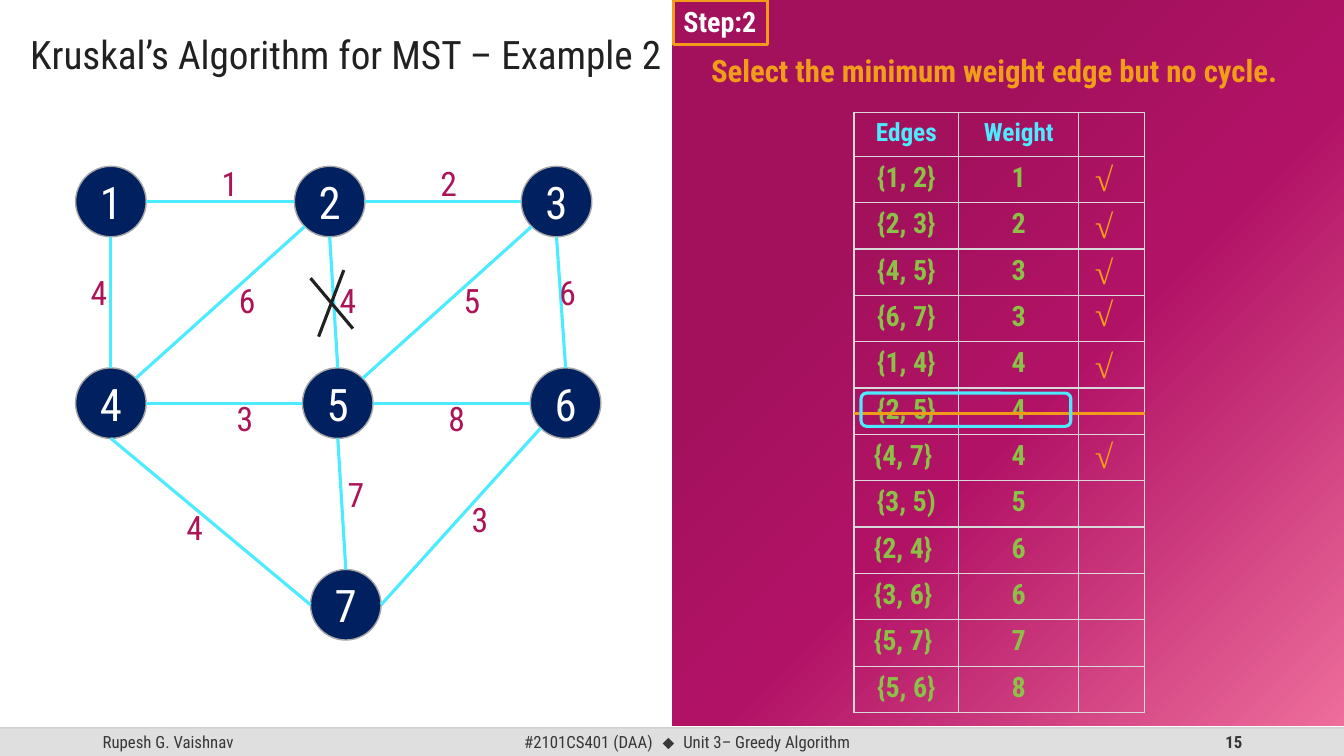
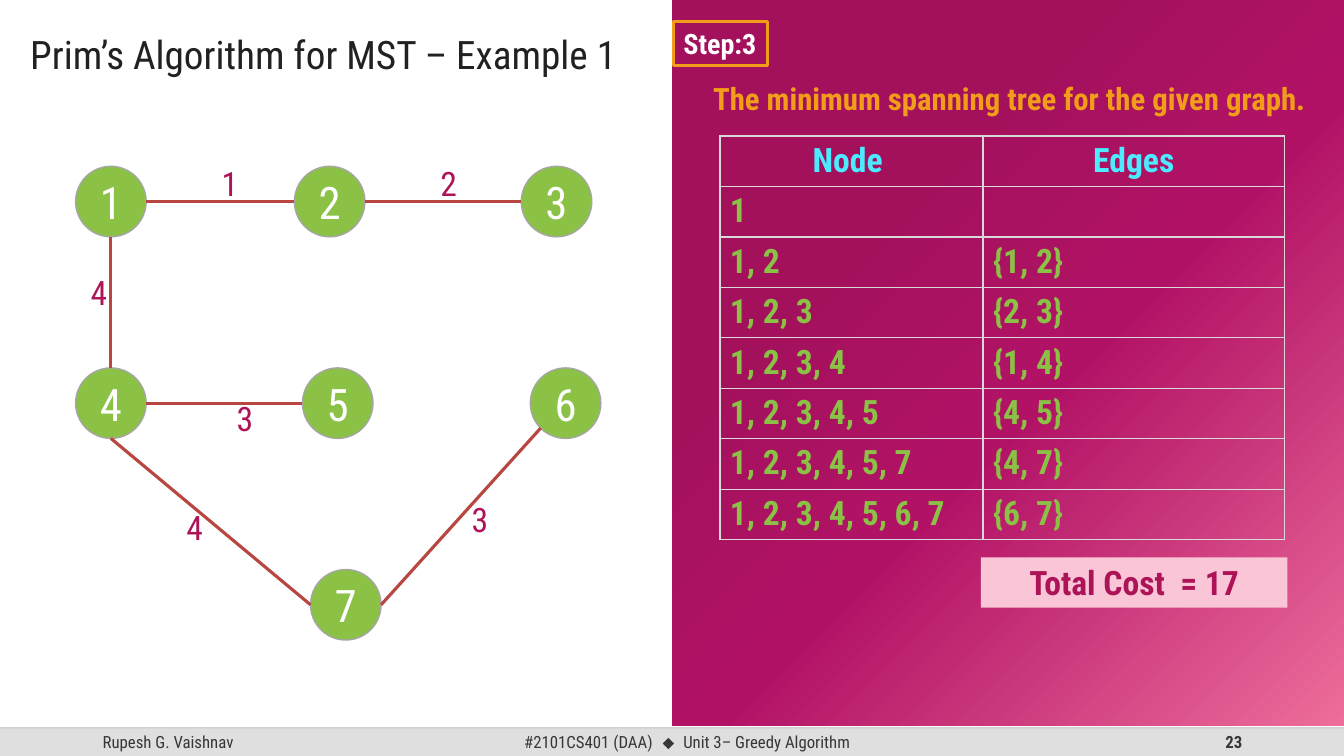
from dataclasses import dataclass
from math import cos, radians, sin
from typing import Optional, Sequence

from lxml.etree import SubElement
from pptx import Presentation
from pptx.dml.color import RGBColor
from pptx.enum.shapes import MSO_CONNECTOR, MSO_SHAPE
from pptx.enum.text import MSO_ANCHOR, MSO_AUTO_SIZE, PP_ALIGN
from pptx.oxml import parse_xml
from pptx.oxml.ns import nsdecls, qn
from pptx.util import Inches, Pt

FONT = "Roboto Condensed"
WHITE = RGBColor(0xFF, 0xFF, 0xFF)
INK = RGBColor(0x21, 0x21, 0x21)
FOOTER_INK = RGBColor(0x37, 0x37, 0x37)
FOOTER_FILL = RGBColor(0xDF, 0xDF, 0xDF)
FOOTER_RULE = RGBColor(0xBF, 0xBF, 0xBF)
NODE_OUTLINE = RGBColor(0xA6, 0xA6, 0xA6)
GRID = RGBColor(0xD9, 0xD9, 0xD9)
NAVY = RGBColor(0x00, 0x20, 0x60)
GREEN = RGBColor(0x8B, 0xC1, 0x45)
CYAN = RGBColor(0x4C, 0xEB, 0xFF)
RED = RGBColor(0xB8, 0x47, 0x42)
ORANGE = RGBColor(0xF1, 0x9D, 0x19)
CRIMSON = RGBColor(0xAD, 0x14, 0x57)
ROSE = RGBColor(0xF9, 0xC5, 0xD7)
PANEL_STOPS = ((30, "A3115D"), (55, "B21266"), (100, "ED6D9B"))

RADIUS = 0.35
FOOTER_TOP = 7.22

# Connection sites of an ellipse, counted anticlockwise from the top
TOP, LEFT, LOWER_LEFT, BOTTOM, RIGHT, UPPER_RIGHT = 0, 2, 3, 4, 6, 7

# Centres of the graph's nodes
NODES = {1: (1.1, 2), 2: (3.27, 2), 3: (5.52, 2),
         4: (1.1, 4), 5: (3.35, 4), 6: (5.61, 4), 7: (3.43, 6)}


@dataclass(frozen=True)
class Box:
    left: float
    top: float
    width: float
    height: float

    def emu(self) -> tuple:
        return tuple(Inches(v) for v in (self.left, self.top, self.width, self.height))


@dataclass(frozen=True)
class Edge:
    start: int
    start_site: int
    end: int
    end_site: int
    weight: int
    label_left: float
    label_top: float


@dataclass(frozen=True)
class TextStyle:
    size: float
    color: RGBColor
    bold: bool = False
    align: PP_ALIGN = PP_ALIGN.LEFT
    anchor: MSO_ANCHOR = MSO_ANCHOR.TOP
    font: str = FONT
    italic: bool = False


@dataclass(frozen=True)
class Grid:
    left: float
    top: float
    widths: Sequence[float]
    header_height: float
    row_height: float
    rows: Sequence[Sequence[str]]


EDGES = (
    Edge(1, RIGHT, 2, LEFT, 1, 2.1, 1.57),
    Edge(2, RIGHT, 3, LEFT, 2, 4.27, 1.57),
    Edge(4, RIGHT, 5, LEFT, 3, 2.25, 3.9),
    Edge(5, RIGHT, 6, LEFT, 8, 4.35, 3.9),
    Edge(1, BOTTOM, 4, TOP, 4, 0.8, 2.65),
    Edge(2, BOTTOM, 5, TOP, 4, 3.27, 2.73),
    Edge(3, BOTTOM, 6, TOP, 6, 5.45, 2.65),
    Edge(4, UPPER_RIGHT, 2, LOWER_LEFT, 6, 2.27, 2.73),
    Edge(5, UPPER_RIGHT, 3, LOWER_LEFT, 5, 4.5, 2.73),
    Edge(6, LOWER_LEFT, 7, RIGHT, 3, 4.58, 4.9),
    Edge(4, BOTTOM, 7, LEFT, 4, 1.75, 4.98),
    Edge(5, BOTTOM, 7, TOP, 7, 3.35, 4.65),
)
TREE = {(1, 2), (2, 3), (1, 4), (4, 5), (4, 7), (6, 7)}

TITLE = TextStyle(28, INK, anchor=MSO_ANCHOR.MIDDLE)
NODE = TextStyle(32, WHITE, align=PP_ALIGN.CENTER, anchor=MSO_ANCHOR.MIDDLE)
WEIGHT = TextStyle(24, CRIMSON)
STEP = TextStyle(20, WHITE, bold=True)
HEADLINE = TextStyle(22, ORANGE, bold=True, align=PP_ALIGN.CENTER)
TICK = TextStyle(24, ORANGE, True, PP_ALIGN.CENTER, MSO_ANCHOR.MIDDLE, "Times New Roman", True)
TOTAL = TextStyle(24, CRIMSON, bold=True, align=PP_ALIGN.CENTER)

EDGE_WEIGHTS = Grid(8.47, 1.12, (1.04, 1.19, 0.65), 0.43, 0.46, (
    ("Edges", "Weight", ""),
    ("{1, 2}", "1", ""), ("{2, 3}", "2", ""), ("{4, 5}", "3", ""), ("{6, 7}", "3", ""),
    ("{1, 4}", "4", ""), ("{2, 5}", "4", ""), ("{4, 7} ", "4", ""), ("{3, 5)", "5", ""),
    ("{2, 4} ", "6", ""), ("{3, 6} ", "6", ""), ("{5, 7} ", "7", ""), ("{5, 6}", "8", "")))
TICK_TOPS = (1.54, 2, 2.46, 2.88, 3.39, 4.28)

TREE_GROWTH = Grid(7.14, 1.35, (2.61, 2.99), 0.5, 0.5, (
    ("Node ", "Edges"), ("1", ""), ("1, 2", "{1, 2}"), ("1, 2, 3", "{2, 3}"),
    ("1, 2, 3, 4", "{1, 4}"), ("1, 2, 3, 4, 5", "{4, 5}"),
    ("1, 2, 3, 4, 5, 7", "{4, 7}"), ("1, 2, 3, 4, 5, 6, 7", "{6, 7}")))


def style_run(run, style: TextStyle) -> None:
    run.font.name = style.font
    run.font.size = Pt(style.size)
    run.font.bold = style.bold
    run.font.italic = style.italic
    run.font.color.rgb = style.color


def write(frame, text: str, style: TextStyle, wrap: bool = True, grow: bool = False) -> None:
    frame.text = text
    frame.word_wrap = wrap
    frame.vertical_anchor = style.anchor
    frame.auto_size = MSO_AUTO_SIZE.SHAPE_TO_FIT_TEXT if grow else MSO_AUTO_SIZE.NONE
    frame.paragraphs[0].alignment = style.align
    for run in frame.paragraphs[0].runs:
        style_run(run, style)


def add_label(slide, box: Box, text: str, style: TextStyle, grow: bool = False):
    label = slide.shapes.add_textbox(*box.emu())
    write(label.text_frame, text, style, grow=grow)
    return label


def add_box(slide, kind: MSO_SHAPE, box: Box, fill: Optional[RGBColor] = None,
            outline: Optional[RGBColor] = None, width: float = 2.25):
    shape = slide.shapes.add_shape(kind, *box.emu())
    shape.shadow.inherit = False
    if fill is None:
        shape.fill.background()
    else:
        shape.fill.solid()
        shape.fill.fore_color.rgb = fill
    if outline is None:
        shape.line.fill.background()
    else:
        shape.line.color.rgb = outline
        shape.line.width = Pt(width)
    return shape


def add_line(slide, start: tuple, end: tuple, color: RGBColor, width: float = 2.25):
    line = slide.shapes.add_connector(
        MSO_CONNECTOR.STRAIGHT, *(Inches(v) for v in (*start, *end)))
    line.line.color.rgb = color
    line.line.width = Pt(width)
    SubElement(line._element.spPr, qn("a:effectLst"))
    return line


def site_point(node: int, site: int) -> tuple:
    angle = radians(90 + 45 * site)
    x, y = NODES[node]
    return x + RADIUS * cos(angle), y - RADIUS * sin(angle)


def add_graph(slide, edges: Sequence[Edge], node_fill: RGBColor, edge_color: RGBColor) -> None:
    circles = {}
    for node, (x, y) in NODES.items():
        circle = add_box(slide, MSO_SHAPE.OVAL, Box(x - RADIUS, y - RADIUS, 2 * RADIUS, 2 * RADIUS),
                         node_fill, NODE_OUTLINE, 1)
        write(circle.text_frame, str(node), NODE)
        circles[node] = circle
    for edge in edges:
        line = add_line(slide, site_point(edge.start, edge.start_site),
                        site_point(edge.end, edge.end_site), edge_color)
        # Ellipses have eight sites, so the joins are written directly
        joins = line._element.find(".//" + qn("p:cNvCxnSpPr"))
        for tag, node, site in (("a:stCxn", edge.start, edge.start_site),
                                ("a:endCxn", edge.end, edge.end_site)):
            SubElement(joins, qn(tag), id=str(circles[node].shape_id), idx=str(site))
    for edge in edges:
        add_label(slide, Box(edge.label_left, edge.label_top, 0.4, 0.5),
                  str(edge.weight), WEIGHT, grow=True)


def add_grid(slide, grid: Grid, header: TextStyle, body: TextStyle) -> None:
    height = grid.header_height + grid.row_height * (len(grid.rows) - 1)
    table = slide.shapes.add_table(
        len(grid.rows), len(grid.widths),
        *Box(grid.left, grid.top, sum(grid.widths), height).emu()).table
    table.first_row = table.horz_banding = False
    for column, width in zip(table.columns, grid.widths):
        column.width = Inches(width)
    for r, texts in enumerate(grid.rows):
        table.rows[r].height = Inches(grid.row_height if r else grid.header_height)
        for c, text in enumerate(texts):
            cell = table.cell(r, c)
            style = body if r else header
            cell.text = text
            cell.text_frame.paragraphs[0].alignment = style.align
            for run in cell.text_frame.paragraphs[0].runs:
                style_run(run, style)
            for side in ("a:lnL", "a:lnR", "a:lnT", "a:lnB"):
                border = SubElement(cell._tc.get_or_add_tcPr(), qn(side), w=str(Pt(1)))
                SubElement(SubElement(border, qn("a:solidFill")), qn("a:srgbClr"), val=str(GRID))
            cell.fill.background()


def add_footer(slide, number: int) -> None:
    add_box(slide, MSO_SHAPE.RECTANGLE, Box(0, FOOTER_TOP, 13.33, 0.28), FOOTER_FILL)
    for left, width, text, align in (
            (0.92, 3, "Rupesh G. Vaishnav", PP_ALIGN.LEFT),
            (4.42, 4.79, "#2101CS401 (DAA)", PP_ALIGN.CENTER),
            (9.42, 3, str(number), PP_ALIGN.RIGHT)):
        style = TextStyle(12, FOOTER_INK, align == PP_ALIGN.RIGHT, align, MSO_ANCHOR.MIDDLE)
        label = add_label(slide, Box(left, FOOTER_TOP, width, 0.28), text, style)
        if align == PP_ALIGN.CENTER:
            for part, font in ((" ⬥", "Arial"), (" Unit 3– Greedy Algorithm", FONT)):
                run = label.text_frame.paragraphs[0].add_run()
                run.text = part
                style_run(run, TextStyle(12, FOOTER_INK, font=font))
                if font != FONT:
                    run.font._element.set("spc", "360")
    rule = add_line(slide, (0, FOOTER_TOP), (13.33, FOOTER_TOP), FOOTER_RULE, 1)
    SubElement(rule._element.spPr.find(".//" + qn("a:srgbClr")), qn("a:alpha"), val="70000")


def add_panel(slide) -> None:
    panel = add_box(slide, MSO_SHAPE.RECTANGLE, Box(6.67, 0, 6.67, 7.2))
    stops = "".join(f'<a:gs pos="{pos * 1000}"><a:srgbClr val="{color}"/></a:gs>'
                    for pos, color in PANEL_STOPS)
    gradient = parse_xml(
        f'<a:gradFill {nsdecls("a")} rotWithShape="1"><a:gsLst>{stops}</a:gsLst>'
        '<a:path path="circle"><a:fillToRect r="100000" b="100000"/></a:path></a:gradFill>')
    properties = panel._element.spPr
    properties.replace(properties.find(qn("a:noFill")), gradient)


def start_slide(deck, title: str, number: int, step: str, step_top: float,
                headline: str, headline_box: Box):
    slide = deck.slides.add_slide(deck.slide_layouts[5])
    heading = slide.shapes.title
    heading.left, heading.top, heading.width, heading.height = Box(0, 0.01, 6.8, 0.81).emu()
    write(heading.text_frame, title, TITLE, grow=True)
    heading.text_frame.margin_left = Inches(0.3)
    heading.text_frame.paragraphs[0].line_spacing = 1.5
    add_footer(slide, number)
    add_panel(slide)
    badge = add_box(slide, MSO_SHAPE.RECTANGLE, Box(6.68, step_top, 0.93, 0.44), outline=ORANGE)
    write(badge.text_frame, step, STEP, wrap=False, grow=True)
    add_label(slide, headline_box, headline, HEADLINE, grow=True)
    return slide


def add_kruskal(deck) -> None:
    slide = start_slide(deck, "Kruskal’s Algorithm for MST – Example 2", 15, "Step:2", 0,
                        "Select the minimum weight edge but no cycle.", Box(6.67, 0.46, 6.38, 0.47))
    add_graph(slide, EDGES, NAVY, CYAN)
    add_grid(slide, EDGE_WEIGHTS, TextStyle(18, CYAN, True, PP_ALIGN.CENTER),
             TextStyle(20, GREEN, True, PP_ALIGN.CENTER))
    for top in TICK_TOPS:
        add_label(slide, Box(10.74, top, 0.5, 0.46), "√ ", TICK)
    # Rejected edge: struck out in the table and crossed in the graph
    add_line(slide, (8.47, 4.1), (11.36, 4.1), ORANGE)
    add_box(slide, MSO_SHAPE.ROUNDED_RECTANGLE, Box(8.54, 3.9, 2.08, 0.33), outline=CYAN)
    add_line(slide, (3.41, 2.68), (3.16, 3.34), INK)
    add_line(slide, (3.08, 2.76), (3.5, 3.26), INK)


def add_prim(deck) -> None:
    slide = start_slide(deck, "Prim’s Algorithm for MST – Example 1", 23, "Step:3", 0.21,
                        "The minimum spanning tree for the given graph.", Box(6.91, 0.74, 6.2, 0.47))
    tree_edges = [e for e in EDGES if tuple(sorted((e.start, e.end))) in TREE]
    add_graph(slide, tree_edges, GREEN, RED)
    add_grid(slide, TREE_GROWTH, TextStyle(24, CYAN, True, PP_ALIGN.CENTER),
             TextStyle(24, GREEN, True))
    total = add_box(slide, MSO_SHAPE.RECTANGLE, Box(9.73, 5.53, 3.04, 0.5), ROSE)
    write(total.text_frame, "Total Cost  = 17", TOTAL, grow=True)


def main() -> None:
    deck = Presentation()
    deck.slide_width, deck.slide_height = Inches(13.33), Inches(7.5)
    add_kruskal(deck)
    add_prim(deck)
    deck.save("out.pptx")


if __name__ == "__main__":
    main()
